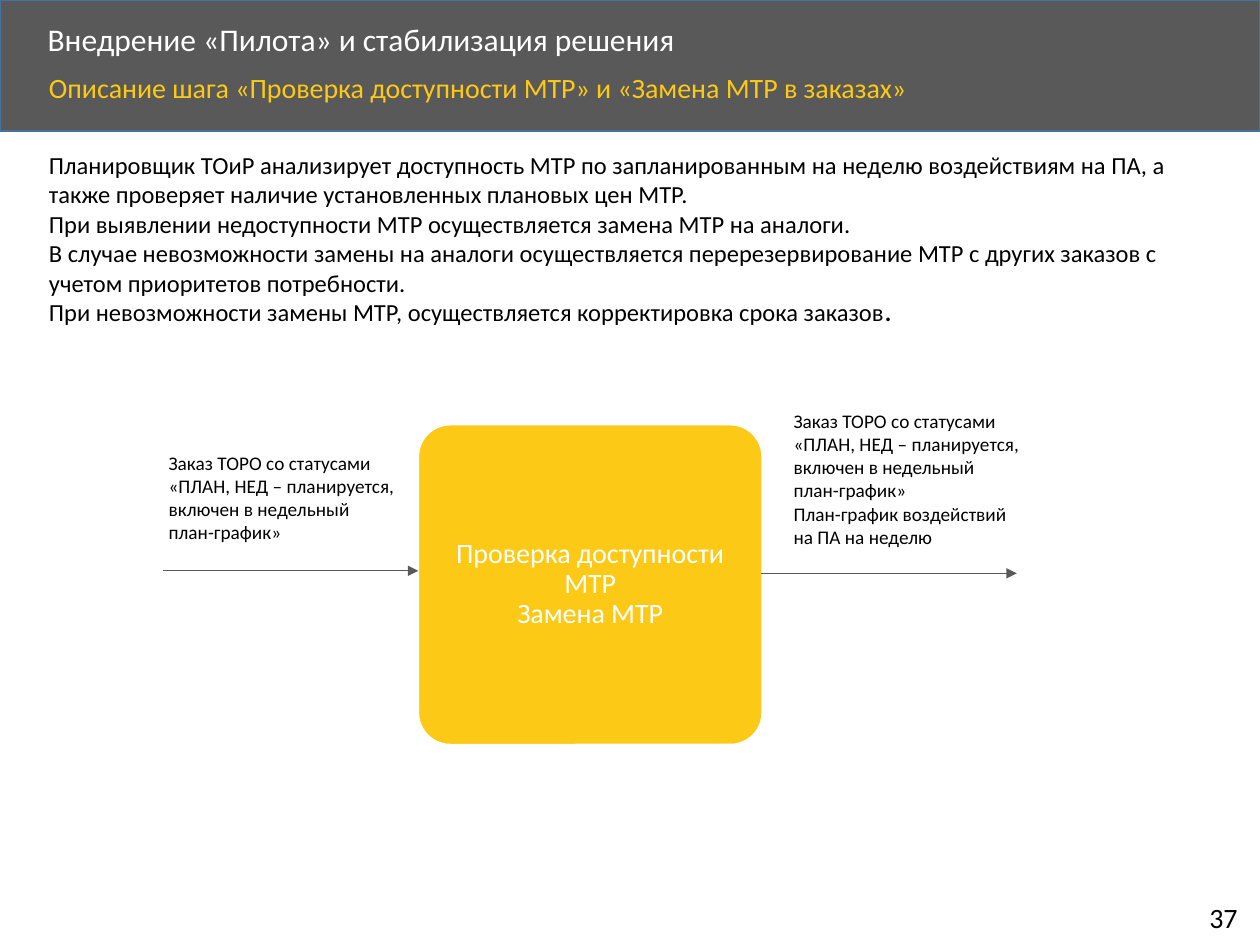
from lxml import etree
from pptx import Presentation
from pptx.dml.color import RGBColor
from pptx.enum import shapes, text
from pptx.oxml.ns import qn
from pptx.util import Inches, Pt

GREY, GOLD, WHITE, BLACK, BLUE = "595959", "FCC917", "FFFFFF", "000000", "43739E"
ORDER = ("Заказ ТОРО со статусами «ПЛАН, НЕД – планируется, "
         "включен в недельный план-график»")
STEP = ["Проверка доступности МТР\vЗамена МТР"]
BODY = [
    "Планировщик ТОиР анализирует доступность МТР по запланированным на неделю "
    "воздействиям на ПА, а также проверяет наличие установленных плановых цен МТР.",
    "При выявлении недоступности МТР осуществляется замена МТР на аналоги.",
    "В случае невозможности замены на аналоги осуществляется перерезервирование МТР "
    "с других заказов с учетом приоритетов потребности.",
    "При невозможности замены МТР, осуществляется корректировка срока заказов",
]
# lines, (left, top, width, height), size, colour, line spacing, anchor
MID, TOP = text.MSO_ANCHOR.MIDDLE, text.MSO_ANCHOR.TOP
TEXTS = [
    (["Внедрение «Пилота» и стабилизация решения"],
     (0.28, 0.14, 8.07, 0.38), 18, WHITE, 0.9, MID),
    (["Описание шага «Проверка доступности МТР» и «Замена МТР в заказах»"],
     (0.29, 0.54, 8.65, 0.45), 16, GOLD, 0.9, TOP),
    ([ORDER], (1.24, 3.53, 2, 0.84), 11, BLACK, 1, TOP),
    ([ORDER, "План-график воздействий на ПА на неделю"],
     (6.2, 3.2, 2, 1.21), 11, BLACK, 1, TOP),
    (["37"], (9.5, 7.1, 0.46, 0.37), 16, BLACK, 1, TOP),
]
ARROWS = [(1.29, 4.53), (6.04, 4.55)]  # left end
REACH = 2.03


def color(code):
    return RGBColor.from_string(code)


def write(frame, lines, size, ink, gap=1, anchor=TOP, align=text.PP_ALIGN.LEFT):
    frame.word_wrap = True
    frame.vertical_anchor = anchor
    frame.text = "\n".join(lines)
    for para in frame.paragraphs:
        para.alignment = align
        para.line_spacing = gap
        for run in para.runs:
            style(run.font, size, ink)


def style(font, size, ink):
    font.name, font.size = "Calibri", Pt(size)
    font.color.rgb = color(ink)


def label(slide, lines, place, *look):
    frame = slide.shapes.add_textbox(*map(Inches, place)).text_frame
    write(frame, lines, *look)
    return frame


def block(slide, kind, place, fill, line):
    shape = slide.shapes.add_shape(kind, *map(Inches, place))
    shape.shadow.inherit = False
    shape.fill.solid()
    shape.fill.fore_color.rgb = color(fill)
    shape.line.color.rgb = color(line)
    shape.line.width = Pt(1)
    return shape


def arrow(slide, left, top):
    line = slide.shapes.add_connector(
        shapes.MSO_CONNECTOR.STRAIGHT, *map(Inches, (left, top, left + REACH, top)))
    line.line.color.rgb = color(GREY)
    line.line.width = Pt(0.5)
    etree.SubElement(line.line._get_or_add_ln(), qn("a:tailEnd"), type="triangle")
    etree.SubElement(line._element.spPr, qn("a:effectLst"))


def main():
    deck = Presentation()
    deck.slide_width, deck.slide_height = Inches(10), Inches(7.5)
    slide = deck.slides.add_slide(deck.slide_layouts[6])

    block(slide, shapes.MSO_SHAPE.RECTANGLE, (0, 0, 10, 1.04), GREY, BLUE)
    step = block(slide, shapes.MSO_SHAPE.ROUNDED_RECTANGLE,
                 (3.32, 3.37, 2.73, 2.54), GOLD, WHITE)
    step.adjustments[0] = 0.1
    frame = step.text_frame
    frame.margin_left = frame.margin_right = Inches(0.03)
    write(frame, STEP, 16, WHITE, 0.9, MID, text.PP_ALIGN.CENTER)

    for spot in ARROWS:
        arrow(slide, *spot)
    for item in TEXTS:
        label(slide, *item)

    body = label(slide, BODY, (0.29, 1.14, 9.46, 1.51), 14, BLACK)
    stop = body.paragraphs[-1].add_run()
    stop.text = "."
    style(stop.font, 14, BLACK)
    stop.font.bold = True
    deck.save("out.pptx")


if __name__ == "__main__":
    main()
